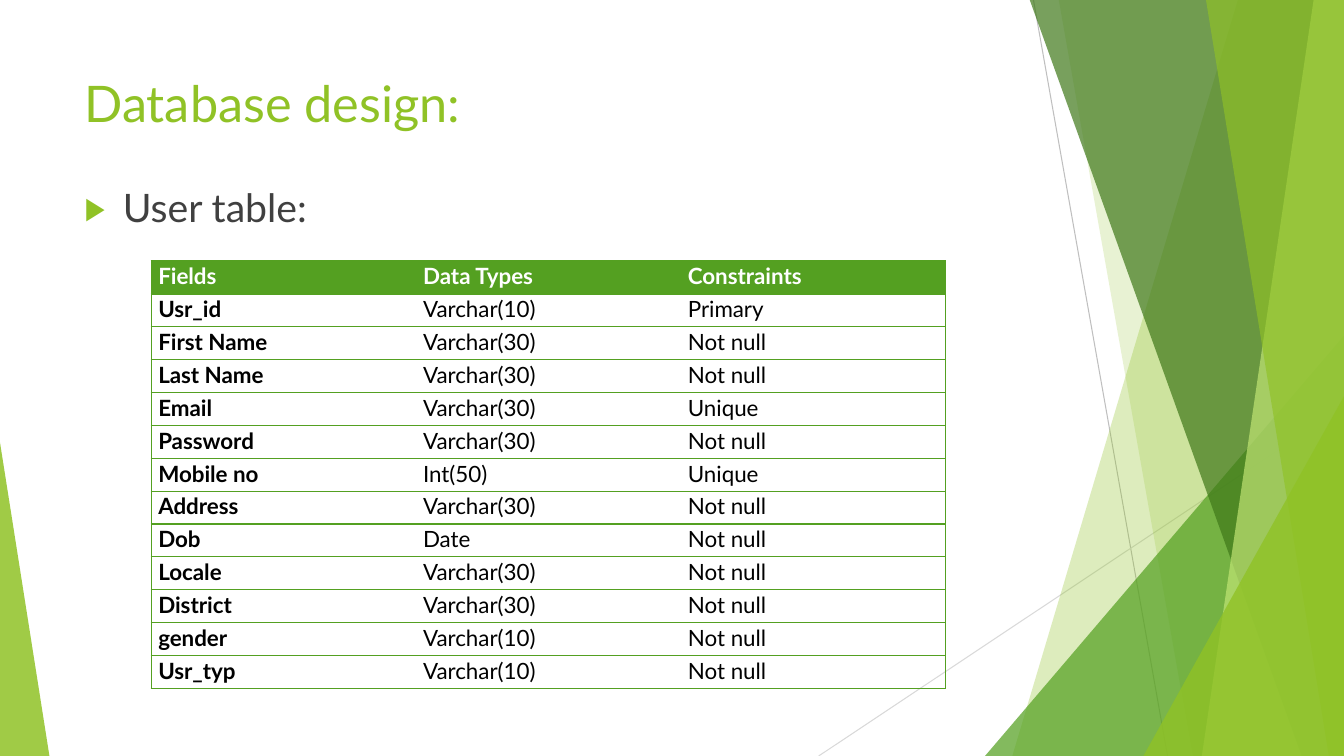
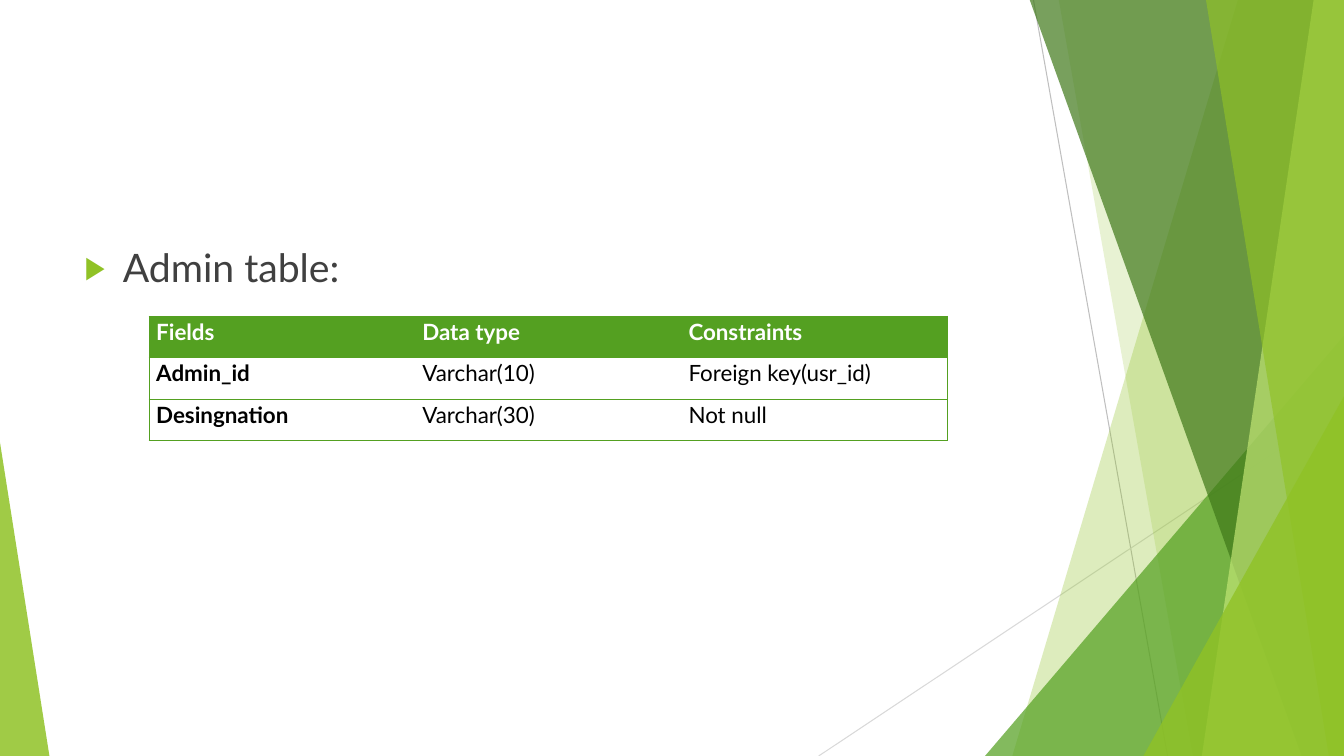
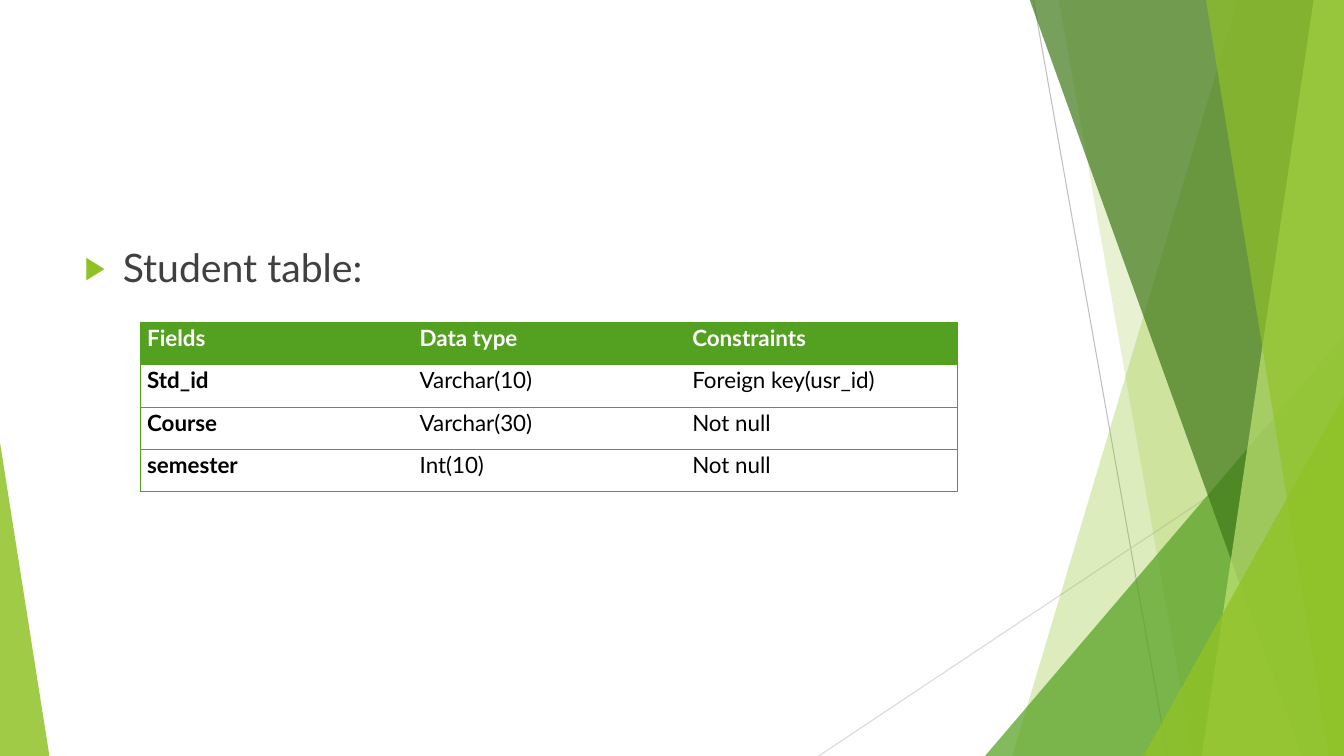
"""Build the three database design slides."""
from dataclasses import dataclass

from lxml.etree import SubElement
from pptx import Presentation
from pptx.dml.color import RGBColor
from pptx.enum.shapes import MSO_CONNECTOR, MSO_SHAPE
from pptx.oxml.ns import qn
from pptx.shapes.base import BaseShape
from pptx.slide import Slide
from pptx.table import _Cell
from pptx.text.text import TextFrame, _Paragraph
from pptx.util import Inches, Pt

WIDE, HIGH = 13.33, 7.5
TOP = -0.01
FONT = "Lato"
HEX = {
    "lime": "90C226", "green": "54A021", "dark": "3F7819", "pale": "C0E474",
    "silver": "BFBFBF", "mist": "D9D9D9", "gray": "404040",
    "black": "000000", "white": "FFFFFF",
}


@dataclass(frozen=True)
class Line:
    x1: float
    y1: float
    x2: float
    y2: float
    color: str


@dataclass(frozen=True)
class Band:
    head: float
    foot: float
    color: str
    alpha: int


@dataclass(frozen=True)
class Wedge:
    left: float
    top: float
    width: float
    peak: float
    color: str
    alpha: int


@dataclass(frozen=True)
class Grid:
    left: float
    top: float
    width: float
    height: float
    rows: list[tuple[str, str, str]]


@dataclass(frozen=True)
class Page:
    title: str
    label: str
    top: float
    height: float
    grid: Grid


DECOR = [
    Line(10.25, 0, 11.58, HIGH, "silver"),
    Line(WIDE, 4.03, 8.12, HIGH, "mist"),
    Band(12.28, 10.04, "lime", 30),
    Band(10.5, 11.83, "lime", 20),
    Wedge(9.77, 3.33, 3.56, 1, "green", 72),
    Band(10.21, 12.91, "dark", 70),
    Band(13.03, 11.92, "pale", 70),
    Band(11.96, 13.18, "lime", 65),
    Wedge(11.34, 3.93, 1.99, 1, "lime", 80),
    Wedge(0, 4.39, 0.49, 0, "lime", 85),
]

USERS = [
    ("Fields", "Data Types", "Constraints"),
    ("Usr_id", "Varchar(10)", "Primary"),
    ("First Name", "Varchar(30)", "Not null"),
    ("Last Name", "Varchar(30)", "Not null"),
    ("Email", "Varchar(30)", "Unique"),
    ("Password", "Varchar(30)", "Not null"),
    ("Mobile no", "Int(50)", "Unique"),
    ("Address", "Varchar(30)", "Not null"),
    ("Dob", "Date", "Not null"),
    ("Locale", "Varchar(30)", "Not null"),
    ("District", "Varchar(30)", "Not null"),
    ("gender", "Varchar(10)", "Not null"),
    ("Usr_typ", "Varchar(10)", "Not null"),
]
HEAD = ("Fields", "Data type", "Constraints")
ADMINS = [
    HEAD,
    ("Admin_id", "Varchar(10)", "Foreign key(usr_id)"),
    ("Desingnation", "Varchar(30)", "Not null"),
]
PUPILS = [
    HEAD,
    ("Std_id", "Varchar(10)", "Foreign key(usr_id)"),
    ("Course", "Varchar(30)", "Not null"),
    ("semester", "Int(10)", "Not null"),
]
PAGES = [
    Page("Database design:", "User table:", 1.77, 5.39,
         Grid(1.5, 2.59, 7.88, 4.24, USERS)),
    Page("", "Admin table:", 2.36, 4.24,
         Grid(1.48, 3.14, 7.92, 1.23, ADMINS)),
    Page("", "Student table:", 2.36, 4.24,
         Grid(1.39, 3.2, 8.11, 1.68, PUPILS)),
]


def rgb(name: str) -> RGBColor:
    return RGBColor.from_string(HEX[name])


def tint(shape: BaseShape, color: str, alpha: int) -> None:
    shape.shadow.inherit = False
    shape.line.fill.background()
    shape.fill.solid()
    shape.fill.fore_color.rgb = rgb(color)
    paint = shape.element.spPr.find(qn("a:solidFill"))[0]
    SubElement(paint, qn("a:alpha"), val=str(alpha * 1000))


def add_line(slide: Slide, line: Line) -> None:
    ends = [Inches(n) for n in (line.x1, line.y1, line.x2, line.y2)]
    wire = slide.shapes.add_connector(MSO_CONNECTOR.STRAIGHT, *ends)
    wire.line.color.rgb = rgb(line.color)
    wire.line.width = Pt(0.75)
    SubElement(wire.element.spPr, qn("a:effectLst"))


def add_band(slide: Slide, band: Band) -> None:
    spots = [(band.head, TOP), (WIDE, TOP), (WIDE, HIGH), (band.foot, HIGH)]
    first, *rest = [(Inches(x), Inches(y)) for x, y in spots]
    pen = slide.shapes.build_freeform(*first)
    pen.add_line_segments(rest, close=True)
    tint(pen.convert_to_shape(), band.color, band.alpha)


def add_wedge(slide: Slide, wedge: Wedge) -> None:
    shape = slide.shapes.add_shape(
        MSO_SHAPE.ISOSCELES_TRIANGLE, Inches(wedge.left), Inches(wedge.top),
        Inches(wedge.width), Inches(HIGH - wedge.top))
    shape.adjustments[0] = wedge.peak
    tint(shape, wedge.color, wedge.alpha)


def add_decor(slide: Slide) -> None:
    tools = {Line: add_line, Band: add_band, Wedge: add_wedge}
    for part in DECOR:
        tools[type(part)](slide, part)


def add_run(para: _Paragraph, text: str, size: int, color: str,
            bold: bool = False) -> None:
    run = para.add_run()
    run.text = text
    run.font.name = FONT
    run.font.size = Pt(size)
    run.font.bold = bold
    run.font.color.rgb = rgb(color)


def add_box(slide: Slide, top: float, height: float) -> TextFrame:
    box = slide.shapes.add_textbox(
        Inches(0.74), Inches(top), Inches(9.4), Inches(height))
    box.text_frame.word_wrap = True
    return box.text_frame


def add_title(slide: Slide, text: str) -> None:
    frame = add_box(slide, 0.67, 0.82)
    add_run(frame.paragraphs[0], text, 36, "lime")


def add_label(slide: Slide, page: Page) -> None:
    para = add_box(slide, page.top, page.height).paragraphs[0]
    para.space_before = Pt(10)
    add_run(para, page.label, 28, "gray")
    props = para._p.get_or_add_pPr()
    props.set("marL", str(Inches(0.38)))
    props.set("indent", str(-Inches(0.38)))
    paint = SubElement(props, qn("a:buClr"))
    SubElement(paint, qn("a:srgbClr"), val=HEX["lime"])
    SubElement(props, qn("a:buSzPct"), val="80000")
    SubElement(props, qn("a:buFont"), typeface=FONT)
    SubElement(props, qn("a:buChar"), char="▶")


def add_edges(cell: _Cell, left: bool, right: bool) -> None:
    props = cell._tc.get_or_add_tcPr()
    for side, shown in {"L": left, "R": right, "T": True, "B": True}.items():
        edge = SubElement(props, qn(f"a:ln{side}"), w=str(Pt(1)))
        if shown:
            paint = SubElement(edge, qn("a:solidFill"))
            SubElement(paint, qn("a:srgbClr"), val=HEX["green"])
        else:
            SubElement(edge, qn("a:noFill"))


def fill_cell(cell: _Cell, text: str, row: int, col: int, last: int) -> None:
    cell.margin_left = cell.margin_right = Inches(0.07)
    cell.margin_top = cell.margin_bottom = 0
    add_edges(cell, col == 0, col == last)
    if row == 0:
        cell.fill.solid()
        cell.fill.fore_color.rgb = rgb("green")
    else:
        cell.fill.background()
    para = cell.text_frame.paragraphs[0]
    para.line_spacing = 1.07
    color = "black" if row else "white"
    add_run(para, text, 16, color, row == 0 or col == 0)


def add_grid(slide: Slide, grid: Grid) -> None:
    count, wide = len(grid.rows), len(grid.rows[0])
    table = slide.shapes.add_table(
        count, wide, Inches(grid.left), Inches(grid.top),
        Inches(grid.width), Inches(grid.height)).table
    table.horz_banding = False
    for line in table.columns:
        line.width = Inches(grid.width / wide)
    for line in table.rows:
        line.height = Inches(grid.height / count)
    for row, texts in enumerate(grid.rows):
        for col, text in enumerate(texts):
            fill_cell(table.cell(row, col), text, row, col, wide - 1)


def main() -> None:
    deck = Presentation()
    deck.slide_width, deck.slide_height = Inches(WIDE), Inches(HIGH)
    for page in PAGES:
        slide = deck.slides.add_slide(deck.slide_layouts[6])
        add_decor(slide)
        if page.title:
            add_title(slide, page.title)
        add_label(slide, page)
        add_grid(slide, page.grid)
    deck.save("out.pptx")


if __name__ == "__main__":
    main()
